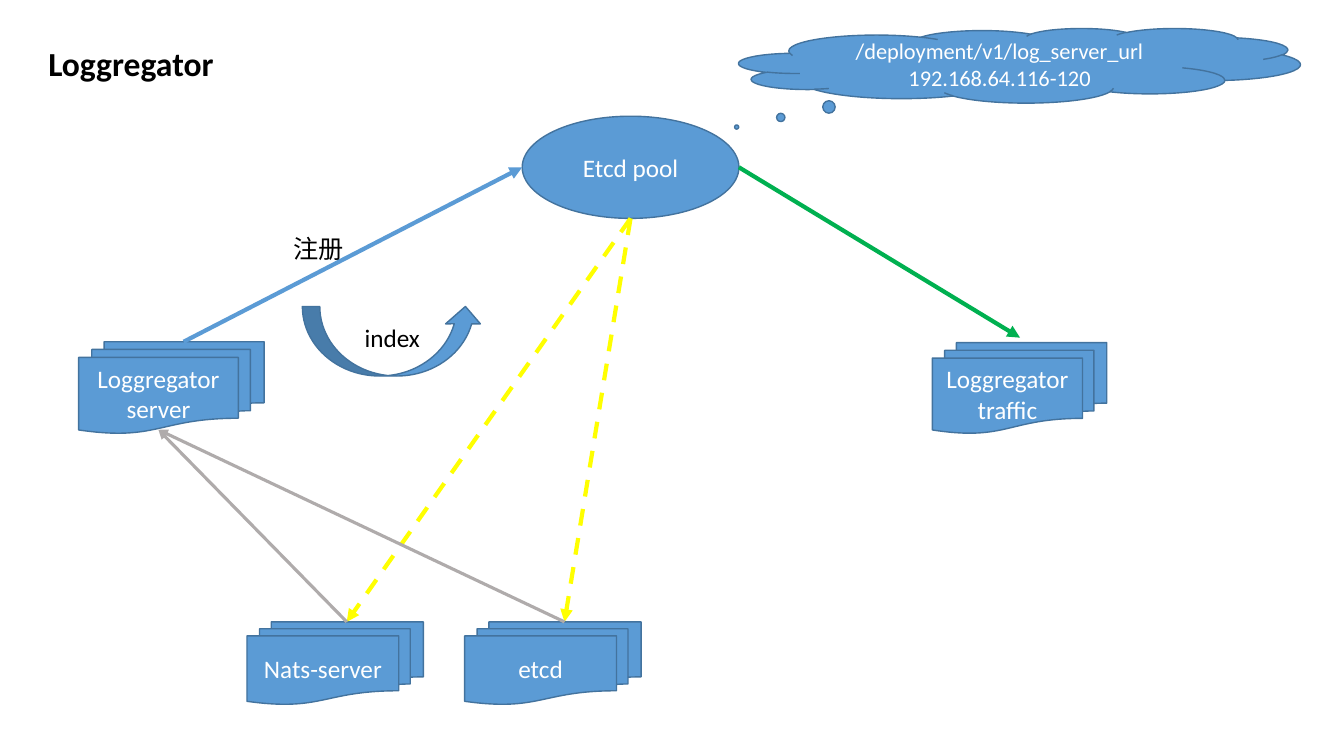
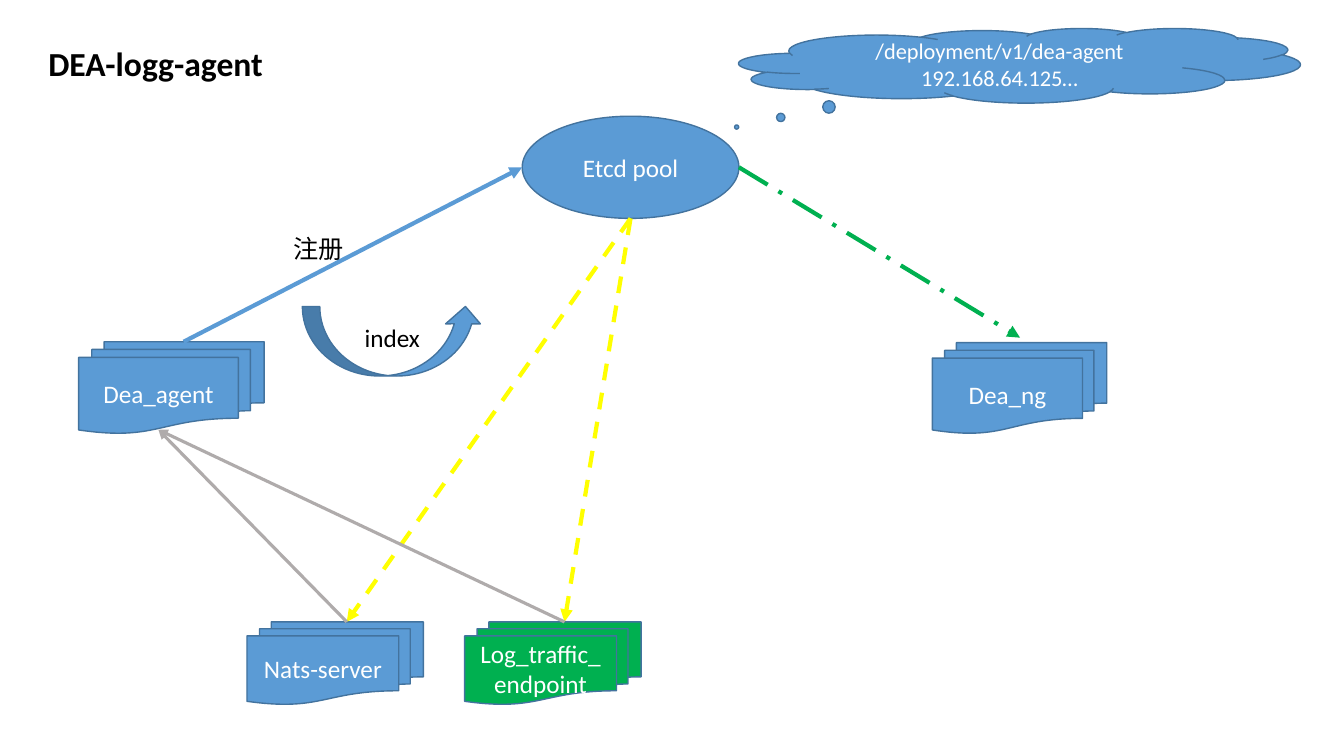
from pptx import Presentation
from pptx.dml.color import RGBColor
from pptx.enum.dml import MSO_LINE
from pptx.enum.shapes import MSO_CONNECTOR, MSO_SHAPE
from pptx.enum.text import MSO_ANCHOR, MSO_AUTO_SIZE, PP_ALIGN
from pptx.oxml.ns import qn
from pptx.util import Pt
from lxml.etree import SubElement

BLUE, OUTLINE, GREEN = "5B9BD5", "43739E", "00B050"
YELLOW, GRAY, BLACK, WHITE = "FFFF00", "AFABAB", "000000", "FFFFFF"


def color(value):
    return RGBColor.from_string(value)


class Diagram:
    """Holds the shared style and draws elements on the current slide."""

    font_name = "Calibri"

    def __init__(self, presentation):
        self.presentation = presentation
        self.slide = None

    def new_slide(self, title, width):
        layout = self.presentation.slide_layouts[6]
        self.slide = self.presentation.slides.add_slide(layout)
        self.label(title, 27.4, 27.4, width, 36.3, size=24, bold=True)

    def add_lines(self, frame, text, alignment, text_color, **font_format):
        for index, line in enumerate(text.split("\n")):
            paragraph = frame.add_paragraph() if index else frame.paragraphs[0]
            paragraph.alignment = alignment
            run = paragraph.add_run()
            run.text = line
            run.font.color.rgb = color(text_color)
            for name, value in {"name": self.font_name, **font_format}.items():
                setattr(run.font, name, value)

    def label(self, text, left, top, width, height, size=18, bold=None):
        box = self.slide.shapes.add_textbox(Pt(left), Pt(top), Pt(width), Pt(height))
        frame = box.text_frame
        frame.word_wrap = False
        frame.auto_size = MSO_AUTO_SIZE.SHAPE_TO_FIT_TEXT
        self.add_lines(frame, text, PP_ALIGN.LEFT, BLACK, size=Pt(size), bold=bold)

    def node(self, kind, left, top, width, height, text="", size=18, fill=BLUE, adjustments=()):
        shape = self.slide.shapes.add_shape(kind, Pt(left), Pt(top), Pt(width), Pt(height))
        shape.shadow.inherit = False
        shape.fill.solid()
        shape.fill.fore_color.rgb = color(fill)
        shape.line.color.rgb = color(OUTLINE)
        shape.line.width = Pt(1)
        for index, value in enumerate(adjustments):
            shape.adjustments[index] = value
        if text:
            frame = shape.text_frame
            frame.word_wrap = True
            frame.vertical_anchor = MSO_ANCHOR.MIDDLE
            self.add_lines(frame, text, PP_ALIGN.CENTER, WHITE, size=Pt(size))

    def documents(self, left, top, width, height, text, fill=BLUE):
        self.node(MSO_SHAPE.FLOWCHART_MULTIDOCUMENT, left, top, width, height, text, fill=fill)

    def arrow(self, start, end, line_color, width=3, dash=None):
        connector = self.slide.shapes.add_connector(
            MSO_CONNECTOR.STRAIGHT, *(Pt(value) for value in start + end))
        line = connector.line
        line.color.rgb = color(line_color)
        line.width = Pt(width)
        if dash:
            line.dash_style = dash
        properties = connector._element.spPr
        SubElement(properties.find(qn("a:ln")), qn("a:tailEnd"), type="triangle")
        SubElement(properties, qn("a:effectLst"))


def draw_registration(diagram, content):
    server_top, server_bottom = (131.2, 244.1), (113.2, 307)
    pool_left, pool_right, pool_bottom = (373, 119.5), (527.8, 119.5), (450.4, 156)
    nats_top, endpoint_top = (247.7, 444.2), (403.2, 444.2)

    diagram.new_slide(content["title"], content["title_width"])
    diagram.node(MSO_SHAPE.OVAL, 373, 83, 154.8, 73, "Etcd pool")
    diagram.node(MSO_SHAPE.CLOUD_CALLOUT, 527.8, 20.2, 401, 53.3, content["key"],
                 size=16, adjustments=(-0.504, 0.824))
    diagram.documents(56.2, 244.1, 132.5, 65.5, content["server"])
    diagram.documents(176.4, 444.2, 126, 59, "Nats-server")
    diagram.documents(331.9, 444.2, 126, 59, content["endpoint"], content["endpoint_fill"])
    diagram.documents(666, 244.8, 124.6, 64.8, content["consumer"])

    diagram.arrow(server_top, pool_left, BLUE)
    diagram.node(MSO_SHAPE.CURVED_UP_ARROW, 216, 218.9, 128.9, 49.7)
    diagram.label("index", 253.4, 226.8, 54.7, 29)
    diagram.arrow(pool_right, (728.6, 241.2), GREEN, dash=content["consumer_dash"])
    for target in (endpoint_top, nats_top):
        diagram.arrow(pool_bottom, target, YELLOW, dash=MSO_LINE.DASH)
    for source in (nats_top, endpoint_top):
        diagram.arrow(source, server_bottom, GRAY, width=2.25)
    diagram.label("注册", 202.3, 163.4, 51, 29)


SLIDES = [
    {
        "title": "Loggregator",
        "title_width": 134,
        "key": "/deployment/v1/log_server_url\n192.168.64.116-120",
        "server": "Loggregator\nserver",
        "endpoint": "etcd",
        "endpoint_fill": BLUE,
        "consumer": "Loggregator\ntraffic",
        "consumer_dash": None,
    },
    {
        "title": "DEA-logg-agent",
        "title_width": 170,
        "key": "/deployment/v1/dea-agent\n192.168.64.125…",
        "server": "Dea_agent",
        "endpoint": "Log_traffic_endpoint",
        "endpoint_fill": GREEN,
        "consumer": "Dea_ng",
        "consumer_dash": MSO_LINE.LONG_DASH_DOT,
    },
]


def main():
    presentation = Presentation()
    presentation.slide_width, presentation.slide_height = Pt(960), Pt(540)
    diagram = Diagram(presentation)
    for content in SLIDES:
        draw_registration(diagram, content)
    presentation.save("out.pptx")


if __name__ == "__main__":
    main()
